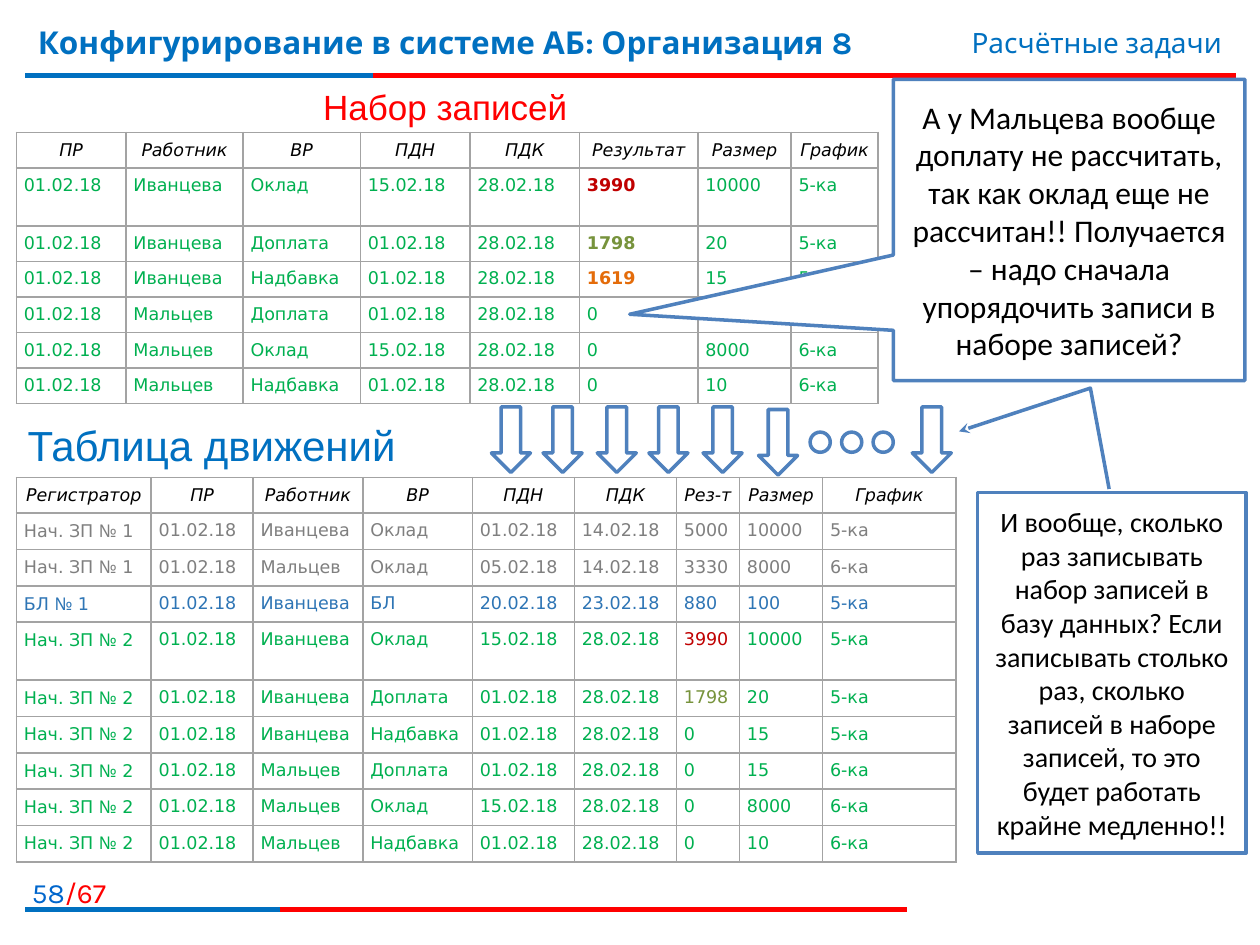
from lxml.etree import SubElement
from pptx import Presentation
from pptx.dml.color import RGBColor
from pptx.enum.shapes import MSO_CONNECTOR, MSO_SHAPE
from pptx.enum.text import MSO_ANCHOR, MSO_AUTO_SIZE, PP_ALIGN
from pptx.oxml.ns import qn
from pptx.util import Inches, Pt

HUES = {
    "blue": "0070C0", "page": "0066CC", "red": "FF0000", "black": "000000",
    "white": "FFFFFF", "edge": "4F81BD", "grid": "A3A3A3", "gray": "7F7F7F",
    "sick": "2E75B5", "green": "00B050", "wine": "C00000", "olive": "77933C",
    "amber": "E46C0A",
}
MARKS = {"3990": "wine", "1798": "olive", "1619": "amber"}
ROW, TALL = 0.28, 0.46

HEAD = ["ПР", "Работник", "ВР", "ПДН", "ПДК", "Результат", "Размер", "График"]
SET = [line.split() for line in (
    "01.02.18 Иванцева Оклад 15.02.18 28.02.18 3990 10000 5-ка",
    "01.02.18 Иванцева Доплата 01.02.18 28.02.18 1798 20 5-ка",
    "01.02.18 Иванцева Надбавка 01.02.18 28.02.18 1619 15 5-ка",
    "01.02.18 Мальцев Доплата 01.02.18 28.02.18 0 15 6-ка",
    "01.02.18 Мальцев Оклад 15.02.18 28.02.18 0 8000 6-ка",
    "01.02.18 Мальцев Надбавка 01.02.18 28.02.18 0 10 6-ка",
)]
PAST = [
    ("Нач. ЗП № 1", "01.02.18 Иванцева Оклад 01.02.18 14.02.18 5000 10000 5-ка"),
    ("Нач. ЗП № 1", "01.02.18 Мальцев Оклад 05.02.18 14.02.18 3330 8000 6-ка"),
    ("БЛ № 1", "01.02.18 Иванцева БЛ 20.02.18 23.02.18 880 100 5-ка"),
]
ALARM = ("А у Мальцева вообще доплату не рассчитать, так как оклад еще не "
         "рассчитан!! Получается – надо сначала упорядочить записи в наборе "
         "записей?")
DOUBT = ("И вообще, сколько раз записывать набор записей в базу данных? Если "
         "записывать столько раз, сколько записей в наборе записей, то это "
         "будет работать крайне медленно!!")


def rgb(hue):
    return RGBColor.from_string(HUES[hue])


def box(spot):
    return [Inches(n) for n in spot]


def add_run(para, text, size, face, hue, bold=False, slant=False):
    run = para.add_run()
    run.text = text
    font = run.font
    font.size, font.name = Pt(size), face
    font.bold, font.italic = bold, slant
    font.color.rgb = rgb(hue)


def write(shape, runs, size, face, align=PP_ALIGN.LEFT, bold=False,
          anchor=MSO_ANCHOR.TOP):
    frame = shape.text_frame
    frame.word_wrap = True
    frame.auto_size = MSO_AUTO_SIZE.NONE
    frame.vertical_anchor = anchor
    para = frame.paragraphs[0]
    para.alignment = align
    for text, hue in runs:
        add_run(para, text, size, face, hue, bold)


def add_title(slide, text):
    title = slide.shapes.title
    title.left, title.top, title.width, title.height = box((0.2, 0.13, 7.4, 0.62))
    write(title, [(text, "blue")], 18, "Karla", bold=True)


def add_label(slide, spot, runs, size, face, align):
    write(slide.shapes.add_textbox(*box(spot)), runs, size, face, align)


def add_rule(slide, top, mid, end):
    for stop, hue in ((end, "red"), (mid, "blue")):
        line = slide.shapes.add_connector(
            MSO_CONNECTOR.STRAIGHT, *box((0.2, top, stop, top)))
        line.line.color.rgb = rgb(hue)
        line.line.width = Pt(3)
        SubElement(line._element.spPr, qn("a:effectLst"))


def add_form(slide, kind, spot):
    shape = slide.shapes.add_shape(kind, *box(spot))
    shape.shadow.inherit = False
    shape.fill.solid()
    shape.fill.fore_color.rgb = rgb("white")
    shape.line.color.rgb = rgb("edge")
    shape.line.width = Pt(2)
    return shape


def add_note(slide, kind, spot, points, text, size):
    note = add_form(slide, kind, spot)
    for i, point in enumerate(points):
        note.adjustments[i] = point
    write(note, [(text, "black")], size, "Calibri", PP_ALIGN.CENTER,
          anchor=MSO_ANCHOR.MIDDLE)
    return note


def edge_cell(cell):
    props = cell._tc.get_or_add_tcPr()
    for side in ("lnL", "lnR", "lnT", "lnB"):
        line = SubElement(props, qn(f"a:{side}"), w=str(Pt(1)))
        fill = SubElement(line, qn("a:solidFill"))
        SubElement(fill, qn("a:srgbClr"), val=HUES["grid"])
    cell.fill.background()


def fill_cell(cell, text, hue, head, bold):
    edge_cell(cell)
    cell.margin_left = cell.margin_right = Inches(0.06)
    cell.margin_top = cell.margin_bottom = Inches(0.06)
    para = cell.text_frame.paragraphs[0]
    para.alignment = PP_ALIGN.CENTER if head else PP_ALIGN.LEFT
    start, sign, rest = text.partition("№")
    for part, face in ((start, "DejaVu Sans"), (sign, "Cabin"),
                       (rest, "DejaVu Sans")):
        if part:
            add_run(para, part, 10, face, hue, bold, head)


def add_grid(slide, top, wide, rows, hues, tall, bold):
    high = ROW * (len(rows) - 1) + TALL
    frame = slide.shapes.add_table(
        len(rows), len(wide), *box((0.13, top, sum(wide), high)))
    table = frame.table
    table.first_row = table.horz_banding = False
    for col, size in zip(table.columns, wide):
        col.width = Inches(size)
    for r, (row, hue) in enumerate(zip(rows, hues)):
        table.rows[r].height = Inches(TALL if r == tall else ROW)
        for c, text in enumerate(row):
            fill_cell(table.cell(r, c), text, MARKS.get(text, hue), r == 0,
                      bold and text in MARKS)


def add_grids(slide):
    add_grid(slide, 1.05, [0.87, 0.93, 0.93, 0.87, 0.87, 0.94, 0.74, 0.69],
             [HEAD] + SET, ["black"] + ["green"] * len(SET), 1, True)
    head = ["Регистратор"] + ["Рез-т" if h == "Результат" else h for h in HEAD]
    past = [[doc] + line.split() for doc, line in PAST]
    fresh = [["Нач. ЗП № 2"] + ["0" if v == "1619" else v for v in row]
             for row in SET]
    add_grid(slide, 3.79, [1.07, 0.81, 0.87, 0.87, 0.81, 0.81, 0.5, 0.66, 1.06],
             [head] + past + fresh,
             ["black", "gray", "gray", "sick"] + ["green"] * len(fresh), 4, False)


def add_flow(slide):
    for left in (3.9, 4.31, 4.74, 5.15, 5.58, 6.02, 7.24):
        top = 3.25 if left == 6.02 else 3.23
        add_form(slide, MSO_SHAPE.DOWN_ARROW, (left, top, 0.31, 0.52))
    for i in range(3):
        add_form(slide, MSO_SHAPE.FLOWCHART_CONNECTOR,
                 (6.43 + 0.25 * i, 3.43, 0.16, 0.16))


def main():
    deck = Presentation()
    deck.slide_width, deck.slide_height = Inches(10), Inches(7.5)
    slide = deck.slides.add_slide(deck.slide_layouts[5])
    add_rule(slide, 0.6, 2.96, 9.81)
    add_rule(slide, 7.22, 2.22, 7.2)
    add_title(slide, "Конфигурирование в системе АБ: Организация 8")
    add_label(slide, (0, 6.9, 0.94, 0.32), [("58", "page"), ("/67", "red")],
              16, "Karla", PP_ALIGN.RIGHT)
    add_label(slide, (5.94, 0.15, 3.86, 0.37), [("Расчётные задачи", "blue")],
              16, "Karla", PP_ALIGN.RIGHT)
    add_label(slide, (0.12, 0.63, 6.83, 0.44), [("Набор записей", "red")],
              20, "Arial", PP_ALIGN.CENTER)
    add_label(slide, (0.12, 3.28, 3.15, 0.5), [("Таблица движений", "blue")],
              24, "Arial", PP_ALIGN.LEFT)
    add_grids(slide)
    add_flow(slide)
    add_note(slide, MSO_SHAPE.RECTANGULAR_CALLOUT, (7.09, 0.63, 2.79, 2.39),
             (-1.25, 0.28), ALARM, 18)
    note = add_note(slide, MSO_SHAPE.LINE_CALLOUT_2, (7.76, 3.91, 2.13, 2.86),
                    (-0.01, 0.49, -0.29, 0.42, -0.17, -0.07), DOUBT, 16)
    SubElement(note.line._get_or_add_ln(), qn("a:tailEnd"), type="stealth")
    deck.save("out.pptx")


if __name__ == "__main__":
    main()
